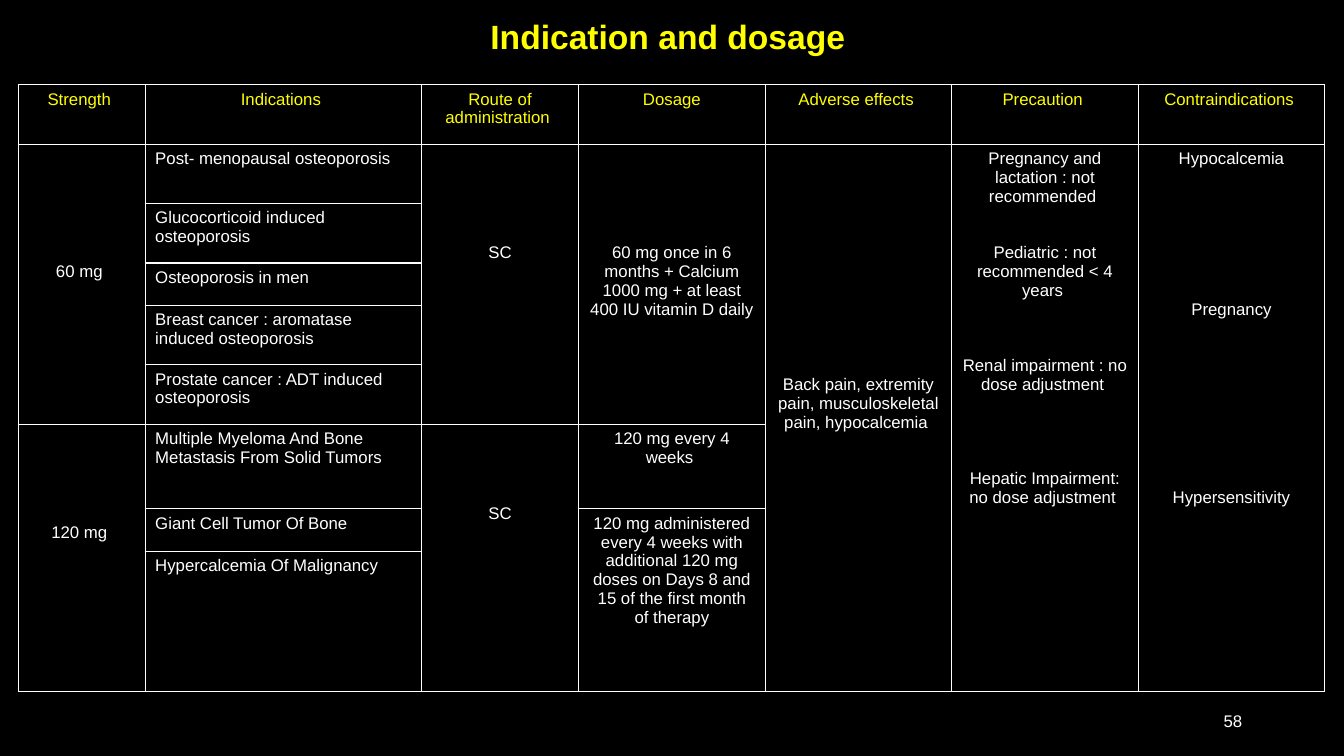
from dataclasses import dataclass

from lxml.etree import SubElement
from pptx import Presentation
from pptx.dml.color import RGBColor
from pptx.enum.text import MSO_ANCHOR, PP_ALIGN
from pptx.oxml.ns import qn
from pptx.util import Inches, Pt

WHITE, YELLOW, BLACK = "FFFFFF", "FFFF00", "000000"
LINE = 13.45  # height of one text line, in points

WIDTHS = [1.26, 2.74, 1.56] + [1.85] * 4
HEIGHTS = [0.59, 0.59, 0.59, 0.42, 0.59, 0.59, 0.84, 0.42, 1.39]
HEADS = ["Strength ", "Indications ", "Route of administration ", "Dosage",
         "Adverse effects ", "Precaution ", "Contraindications "]
USES = ["Post- menopausal osteoporosis", "Glucocorticoid induced osteoporosis",
        "Osteoporosis in men", "Breast cancer : aromatase induced osteoporosis",
        "Prostate cancer : ADT induced osteoporosis",
        "Multiple Myeloma And Bone Metastasis From Solid Tumors",
        "Giant Cell Tumor Of Bone", "Hypercalcemia Of Malignancy"]


@dataclass
class Entry:
    """Table text: rows spanned, lines left free on top and between paragraphs."""
    row: int
    col: int
    text: str
    span: int = 1
    skip: int = 0
    gaps: tuple[int, ...] = ()
    color: str = WHITE
    align: PP_ALIGN = PP_ALIGN.CENTER


ENTRIES = [Entry(0, col, head, color=YELLOW) for col, head in enumerate(HEADS)]
ENTRIES += [Entry(row, 1, use, align=PP_ALIGN.LEFT) for row, use in enumerate(USES, 1)]
ENTRIES += [
    Entry(1, 0, "60 mg ", 5, 6),
    Entry(1, 2, "SC", 5, 5),
    Entry(1, 3, "60 mg once in 6 months + Calcium 1000 mg + at least "
                "400 IU vitamin D daily", 5, 5),
    Entry(1, 4, "Back pain, extremity pain, musculoskeletal pain, hypocalcemia ", 8, 12),
    Entry(1, 5, "Pregnancy and lactation : not recommended \n"
                "Pediatric : not recommended < 4 years \n"
                "Renal impairment : no dose adjustment \n"
                "Hepatic Impairment: no dose adjustment ", 8, gaps=(2, 3, 4)),
    Entry(1, 6, "Hypocalcemia\nPregnancy\nHypersensitivity", 8, gaps=(7, 9)),
    Entry(6, 0, "120 mg ", 3, 5),
    Entry(6, 2, "SC", 3, 4),
    Entry(6, 3, "120 mg every 4 weeks "),
    Entry(7, 3, "120 mg administered every 4 weeks with additional 120 mg doses "
                "on Days 8 and 15 of the first month of therapy", 2),
]


def paint(code: str) -> RGBColor:
    return RGBColor.from_string(code)


def write(frame, text: str, *, size: float = 12, color: str = WHITE,
          bold: bool = False, align: PP_ALIGN = PP_ALIGN.CENTER,
          gaps: tuple[int, ...] = (), pitch: float | None = None) -> None:
    frame.word_wrap = True
    for i, part in enumerate(text.split("\n")):
        para = frame.add_paragraph() if i else frame.paragraphs[0]
        para.alignment = align
        if pitch:
            para.line_spacing = pitch
        if i and gaps:
            para.space_before = Pt(gaps[i - 1] * LINE)
        run = para.add_run()
        run.text = part
        font = run.font
        font.name, font.size, font.bold = "Arial", Pt(size), bold
        font.color.rgb = paint(color)


def label(slide, box: tuple[float, float, float, float], text: str, **form) -> None:
    """Add a text box centred on its height."""
    frame = slide.shapes.add_textbox(*map(Inches, box)).text_frame
    frame.vertical_anchor = MSO_ANCHOR.MIDDLE
    write(frame, text, **form)


def edge(cell) -> None:
    """Draw the four borders of a cell and clear its fill."""
    props = cell._tc.get_or_add_tcPr()
    for side in ("a:lnL", "a:lnR", "a:lnT", "a:lnB"):
        line = SubElement(props, qn(side), w=str(Pt(1)))
        fill = SubElement(line, qn("a:solidFill"))
        SubElement(fill, qn("a:srgbClr"), val=WHITE)
    cell.fill.background()


def grid(slide) -> None:
    table = slide.shapes.add_table(
        len(HEIGHTS), len(WIDTHS), Inches(0.18), Inches(0.84),
        Inches(sum(WIDTHS)), Inches(sum(HEIGHTS))).table
    table.first_row = table.horz_banding = False
    for col, width in zip(table.columns, WIDTHS):
        col.width = Inches(width)
    for row, height in zip(table.rows, HEIGHTS):
        row.height = Inches(height)
    for cell in table.iter_cells():
        edge(cell)
    for item in ENTRIES:
        cell = table.cell(item.row, item.col)
        if item.span > 1:
            cell.merge(table.cell(item.row + item.span - 1, item.col))
        cell.margin_top = Inches(0.05) + Pt(item.skip * LINE)
        write(cell.text_frame, item.text, color=item.color,
              align=item.align, gaps=item.gaps)


def main() -> None:
    deck = Presentation()
    deck.slide_width, deck.slide_height = Inches(13.33), Inches(7.5)
    slide = deck.slides.add_slide(deck.slide_layouts[6])
    back = slide.background.fill
    back.solid()
    back.fore_color.rgb = paint(BLACK)
    label(slide, (0.92, 0, 11.5, 0.77), "Indication and dosage ",
          size=24, color=YELLOW, bold=True, pitch=0.9)
    label(slide, (9.42, 6.95, 3, 0.4), "58", align=PP_ALIGN.RIGHT)
    grid(slide)
    deck.save("out.pptx")


if __name__ == "__main__":
    main()
